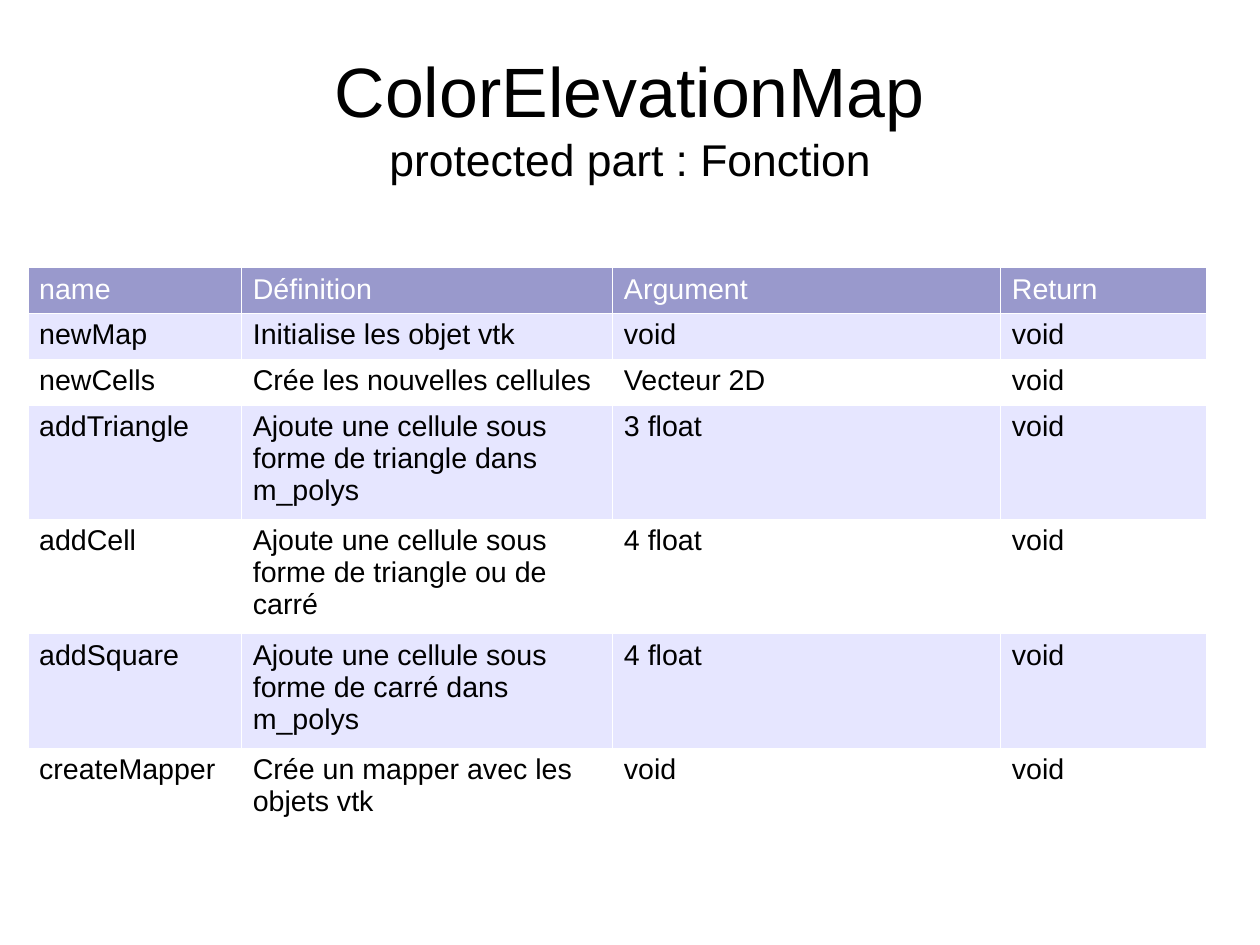
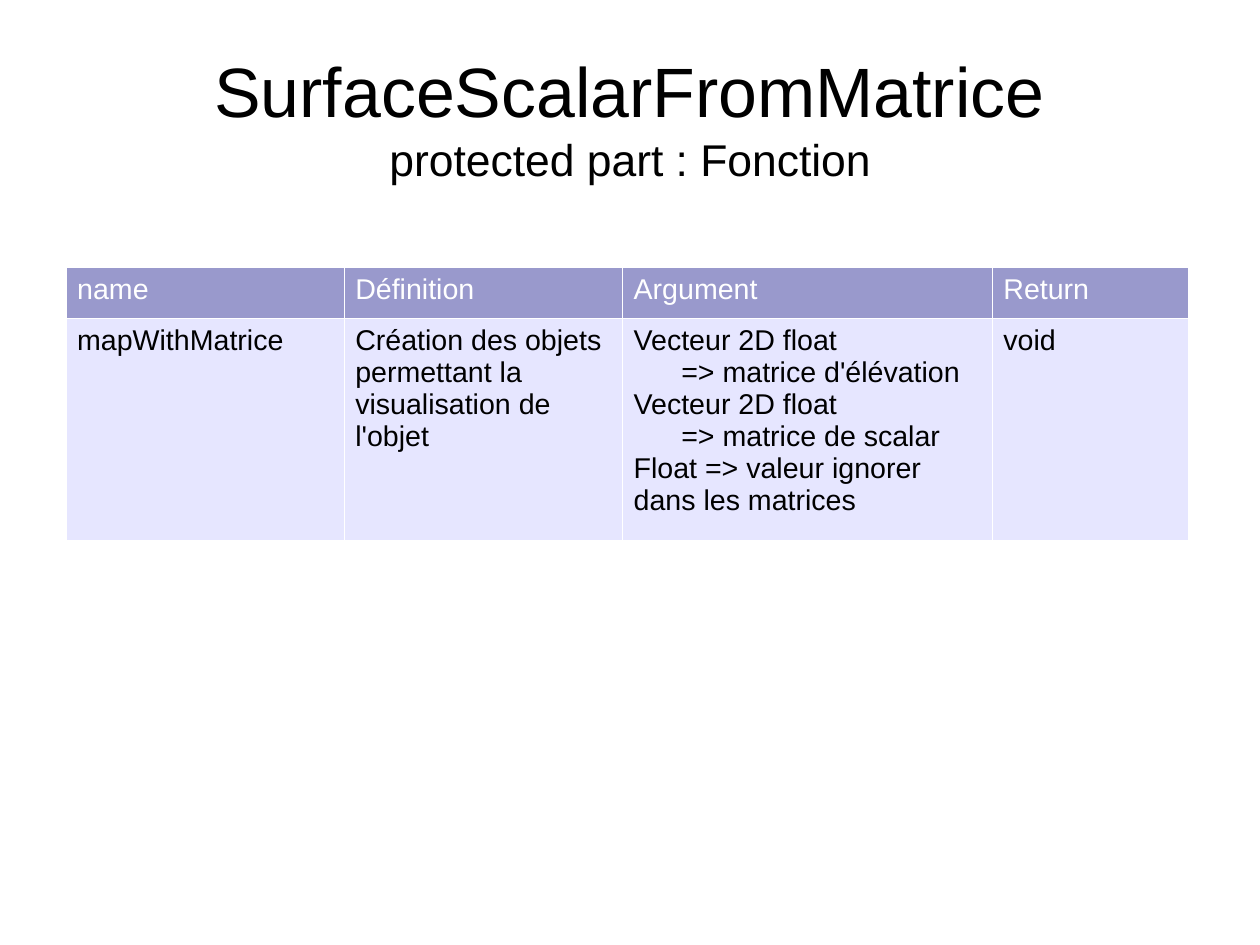
from lxml.etree import SubElement
from pptx import Presentation
from pptx.dml.color import RGBColor
from pptx.enum.text import MSO_ANCHOR, PP_ALIGN
from pptx.oxml import parse_xml
from pptx.oxml.ns import nsdecls
from pptx.util import Pt

# Shared style
FONT = "Arial"
BLACK = RGBColor(0x00, 0x00, 0x00)
WHITE = RGBColor(0xFF, 0xFF, 0xFF)
HEADER_FILL = RGBColor(0x99, 0x99, 0xCC)
BAND_FILL = RGBColor(0xE6, 0xE6, 0xFF)
PAGE_WIDTH, PAGE_HEIGHT = 793.7, 595.3
TITLE_BOX = (39.7, 23.7, 714.3, 99.4)
TABLE_TOP = 168.5
BORDER_WIDTH = 0.06
ARROW_INDENT = 30

SUBTITLE = "protected part\u00a0: Fonction"
HEADER = ["name", "Définition", "Argument", "Return"]

# Table contents
MAP_FUNCTIONS = [
    ["newMap", "Initialise les objet vtk", "void", "void"],
    ["newCells", "Crée les nouvelles cellules", "Vecteur 2D", "void"],
    ["addTriangle", "Ajoute une cellule sous forme de triangle dans m_polys",
     "3 float", "void"],
    ["addCell", "Ajoute une cellule sous forme de triangle ou de carré",
     "4 float", "void"],
    ["addSquare", "Ajoute une cellule sous forme de carré dans m_polys",
     "4 float", "void"],
    ["createMapper", "Crée un mapper avec les objets vtk", "void", "void"],
]
SURFACE_FUNCTIONS = [
    ["mapWithMatrice",
     "Création des objets permettant la visualisation de l'objet",
     "Vecteur 2D float\n=> matrice d'élévation\n"
     "Vecteur 2D float\n=> matrice de scalar\n"
     "Float => valeur ignorer dans les matrices",
     "void"],
]


def add_text(para, text, size=18, color=BLACK, align=PP_ALIGN.LEFT, indent=0):
    """Append a formatted span to a paragraph."""
    para.alignment = align
    if indent:
        para._p.get_or_add_pPr().set("marL", str(Pt(indent)))
    span = para.add_run()
    span.text = text
    span.font.name = FONT
    span.font.size = Pt(size)
    span.font.color.rgb = color


def add_title(page, title):
    box = page.shapes.add_textbox(*map(Pt, TITLE_BOX))
    frame = box.text_frame
    frame.word_wrap = True
    frame.vertical_anchor = MSO_ANCHOR.MIDDLE
    frame.margin_left = frame.margin_right = 0
    frame.margin_top = frame.margin_bottom = 0
    para = frame.paragraphs[0]
    add_text(para, title, size=44, align=PP_ALIGN.CENTER)
    para.add_line_break()
    add_text(para, SUBTITLE, size=28, align=PP_ALIGN.CENTER)


def add_borders(cell, color=WHITE):
    """Draw a thin line on each side; borders come before the fill."""
    properties = cell._tc.get_or_add_tcPr()
    for position, side in enumerate(("lnL", "lnR", "lnT", "lnB")):
        line = parse_xml(f'<a:{side} {nsdecls("a")} w="{Pt(BORDER_WIDTH)}"/>')
        namespace = "{%s}" % line.nsmap["a"]
        fill = SubElement(line, namespace + "solidFill")
        SubElement(fill, namespace + "srgbClr", val=str(color))
        properties.insert(position, line)


def fill_cell(cell, text, fill, color):
    cell.margin_left = cell.margin_right = Pt(7.2)
    cell.margin_top = cell.margin_bottom = Pt(3.6)
    cell.fill.solid()
    cell.fill.fore_color.rgb = fill
    add_borders(cell)
    frame = cell.text_frame
    for number, line in enumerate(text.split("\n")):
        para = frame.add_paragraph() if number else frame.paragraphs[0]
        indent = ARROW_INDENT if line.startswith("=>") else 0
        add_text(para, line, color=color, indent=indent)


def add_function_table(page, left, widths, heights, functions):
    rows = [HEADER] + functions
    table = page.shapes.add_table(
        len(rows), len(HEADER), Pt(left), Pt(TABLE_TOP),
        Pt(sum(widths)), Pt(sum(heights))).table
    table.horz_banding = False
    for column, width in zip(table.columns, widths):
        column.width = Pt(width)
    for number, (row, height, texts) in enumerate(
            zip(table.rows, heights, rows)):
        row.height = Pt(height)
        # Header first, then alternate tinted and white bands
        if number == 0:
            fill, color = HEADER_FILL, WHITE
        else:
            fill, color = (BAND_FILL if number % 2 else WHITE), BLACK
        for cell, text in zip(row.cells, texts):
            fill_cell(cell, text, fill, color)


def add_function_page(deck, title, **table):
    page = deck.slides.add_slide(deck.slide_layouts[6])
    add_title(page, title)
    add_function_table(page, **table)


def main():
    deck = Presentation()
    deck.slide_width, deck.slide_height = Pt(PAGE_WIDTH), Pt(PAGE_HEIGHT)

    add_function_page(
        deck, "ColorElevationMap", left=17.5,
        widths=[134.6, 233.8, 244.4, 129.6],
        heights=[28.8] * 3 + [71.9] * 3 + [50.4],
        functions=MAP_FUNCTIONS)

    add_function_page(
        deck, "SurfaceScalarFromMatrice", left=41.4,
        widths=[175.2, 175.4, 232.9, 123.3],
        heights=[32.2, 139.6],
        functions=SURFACE_FUNCTIONS)

    deck.save("out.pptx")


main()
